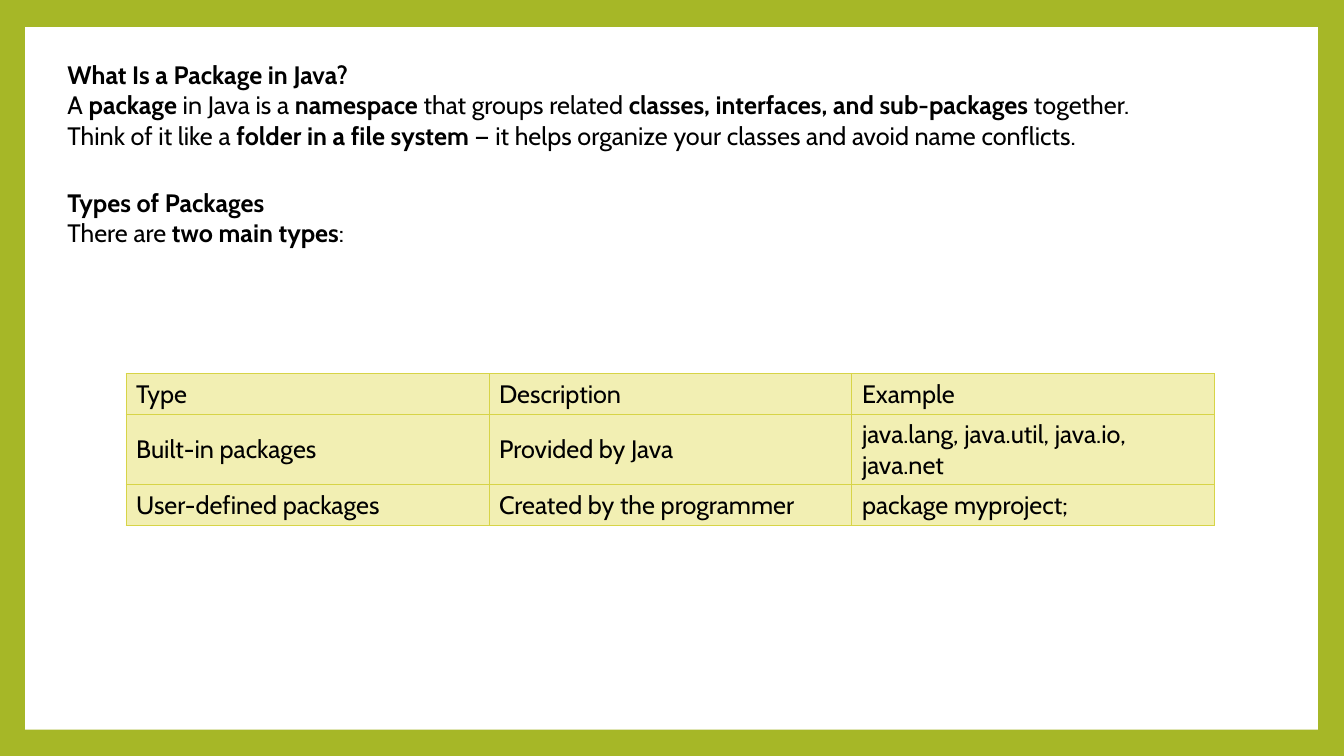
from dataclasses import dataclass

from lxml.etree import SubElement
from pptx import Presentation
from pptx.dml.color import RGBColor
from pptx.enum.shapes import MSO_SHAPE
from pptx.enum.text import MSO_ANCHOR
from pptx.oxml.ns import qn
from pptx.slide import Slide
from pptx.util import Inches, Pt

GREEN = RGBColor(0xA6, 0xB7, 0x27)
WHITE = RGBColor(0xFF, 0xFF, 0xFF)
BLACK = RGBColor(0x00, 0x00, 0x00)
CELL_FILL = RGBColor(0xF2, 0xEF, 0xB3)
CELL_BORDER = RGBColor(0xD7, 0xD4, 0x47)
FONT = {"name": "Cabin", "size": Pt(18)}


@dataclass
class Run:
    text: str
    bold: bool = False


@dataclass
class TextBlock:
    left: float
    top: float
    width: float
    height: float
    paragraphs: list[list[Run]]


BLOCKS = [
    TextBlock(0.57, 0.54, 12.05, 1.01, [
        [Run("What Is a Package in Java?", True)],
        [Run("A "), Run("package", True), Run(" in Java is a "),
         Run("namespace", True), Run(" that groups related "),
         Run("classes, interfaces, and sub-packages", True),
         Run(" together.")],
        [Run("Think of it like a "), Run("folder in a file system", True),
         Run(" — it helps organize your classes and avoid name conflicts.")],
    ]),
    TextBlock(0.57, 1.81, 6.67, 0.71, [
        [Run("Types of Packages", True)],
        [Run("There are "), Run("two main types", True), Run(":")],
    ]),
]

PACKAGE_TYPES = [
    ["Type", "Description", "Example"],
    ["Built-in packages", "Provided by Java",
     "java.lang, java.util, java.io, java.net"],
    ["User-defined packages", "Created by the programmer",
     "package myproject;"],
]
COLUMN_WIDTH = 3.6
ROW_HEIGHTS = [0.4, 0.7, 0.4]


def add_run(p, run: Run) -> None:
    r = p.add_run()
    r.text = run.text
    for key, value in {**FONT, "bold": run.bold}.items():
        setattr(r.font, key, value)
    r.font.color.rgb = BLACK


def add_panel(s: Slide) -> None:
    sp = s.shapes.add_shape(MSO_SHAPE.RECTANGLE, Inches(0.25), Inches(0.27),
                            Inches(12.82), Inches(6.97))
    sp.shadow.inherit = False
    sp.fill.solid()
    sp.fill.fore_color.rgb = WHITE
    sp.line.fill.background()


def add_text_block(s: Slide, block: TextBlock) -> None:
    sp = s.shapes.add_textbox(Inches(block.left), Inches(block.top),
                              Inches(block.width), Inches(block.height))
    tf = sp.text_frame
    tf.word_wrap = True
    for i, runs in enumerate(block.paragraphs):
        p = tf.add_paragraph() if i else tf.paragraphs[0]
        for run in runs:
            add_run(p, run)


def set_borders(cell) -> None:
    tc_pr = cell._tc.get_or_add_tcPr()
    for i, side in enumerate(("lnL", "lnR", "lnT", "lnB")):
        line = SubElement(tc_pr, qn(f"a:{side}"), w=str(Pt(0.79)))
        fill = SubElement(line, qn("a:solidFill"))
        SubElement(fill, qn("a:srgbClr"), val=str(CELL_BORDER))


def add_package_table(s: Slide) -> None:
    columns = len(PACKAGE_TYPES[0])
    table = s.shapes.add_table(
        len(PACKAGE_TYPES), columns, Inches(1.25), Inches(3.71),
        Inches(COLUMN_WIDTH * columns), Inches(sum(ROW_HEIGHTS))).table
    for column in table.columns:
        column.width = Inches(COLUMN_WIDTH)
    for row, height, texts in zip(table.rows, ROW_HEIGHTS, PACKAGE_TYPES):
        row.height = Inches(height)
        for cell, text in zip(row.cells, texts):
            # Borders come before the fill in the cell properties
            set_borders(cell)
            cell.fill.solid()
            cell.fill.fore_color.rgb = CELL_FILL
            cell.vertical_anchor = MSO_ANCHOR.MIDDLE
            add_run(cell.text_frame.paragraphs[0], Run(text))


def main() -> None:
    prs = Presentation()
    prs.slide_width, prs.slide_height = Inches(13.33), Inches(7.5)
    s = prs.slides.add_slide(prs.slide_layouts[6])

    # Green frame around a white panel
    s.background.fill.solid()
    s.background.fill.fore_color.rgb = GREEN
    add_panel(s)

    # Explanations and the table of types
    for block in BLOCKS:
        add_text_block(s, block)
    add_package_table(s)
    prs.save("out.pptx")


if __name__ == "__main__":
    main()
